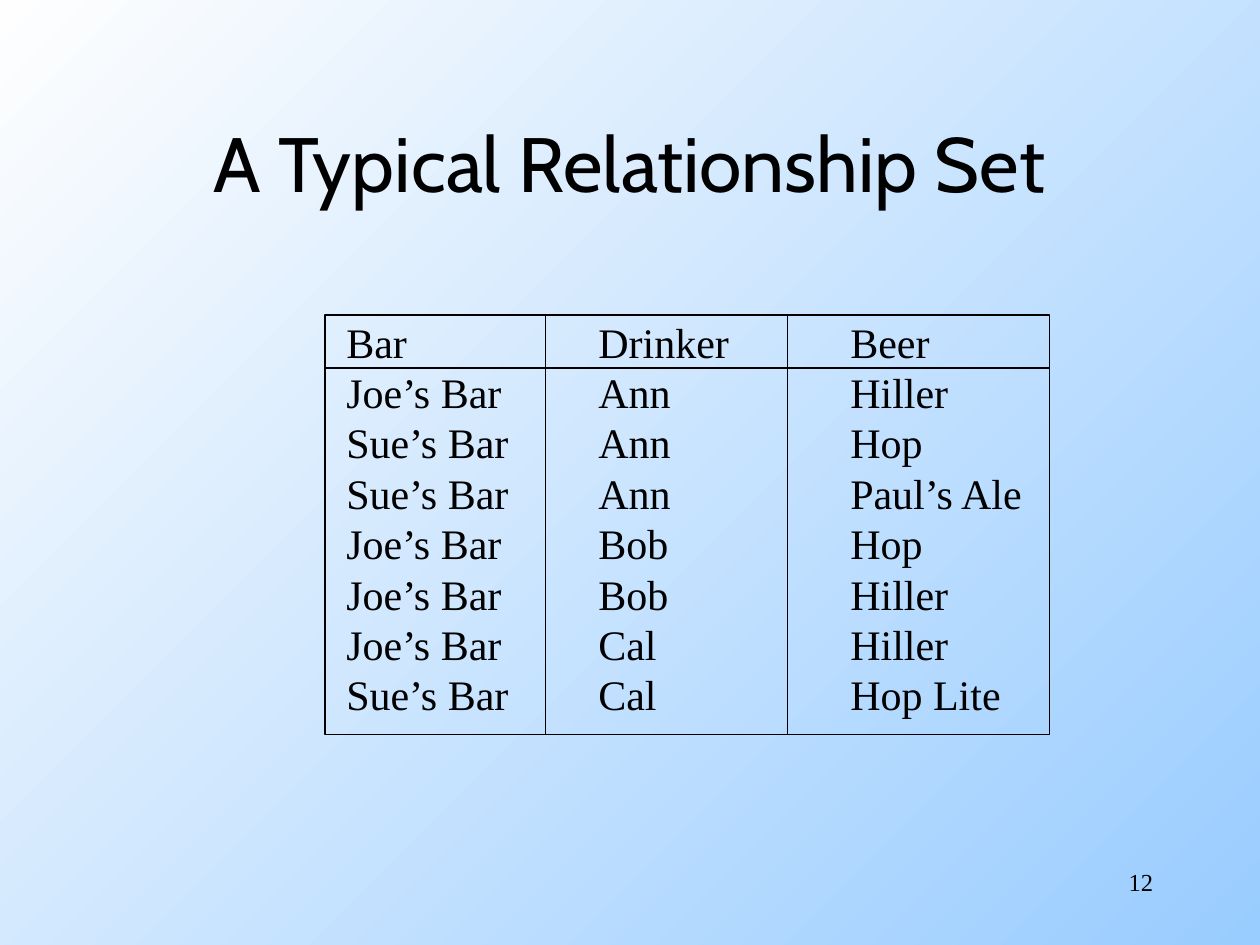
from pptx import Presentation
from pptx.dml.color import RGBColor
from pptx.enum import shapes, text
from pptx.oxml.ns import qn
from pptx.util import Inches, Pt
from lxml import etree

BLACK = RGBColor(0x00, 0x00, 0x00)
SKY = RGBColor(0x99, 0xCC, 0xFF)
PALE = RGBColor(0xFE, 0xFE, 0xFE)
SERIF = "Times New Roman"

ROWS = [
    ("Bar", "Drinker", "Beer"),
    ("Joe’s Bar", "Ann", "Hiller"),
    ("Sue’s Bar", "Ann", "Hop"),
    ("Sue’s Bar", "Ann", "Paul’s Ale"),
    ("Joe’s Bar", "Bob", "Hop"),
    ("Joe’s Bar", "Bob", "Hiller"),
    ("Joe’s Bar", "Cal", "Hiller"),
    ("Sue’s Bar", "Cal", "Hop Lite"),
]
TABS = (2, 4)


def style(para, size, face, align):
    """Set the font and alignment of a paragraph."""
    para.alignment = align
    para.font.size = Pt(size)
    para.font.name = face
    para.font.color.rgb = BLACK


def paint(slide):
    """Fill the background with a diagonal gradient."""
    fill = slide.background.fill
    fill.gradient()
    fill.gradient_angle = 135
    for stop, color in zip(fill.gradient_stops, (SKY, PALE)):
        stop.color.rgb = color


def label(slide, box, words, size, face, align, anchor, wrap=True):
    """Place lines of text in the box and return their paragraphs."""
    frame = slide.shapes.add_textbox(*map(Inches, box)).text_frame
    frame.word_wrap = wrap
    frame.vertical_anchor = anchor
    frame.text = words
    for para in frame.paragraphs:
        style(para, size, face, align)
    return frame.paragraphs


def align_tabs(para):
    """Give a paragraph the tab stops of the columns."""
    stops = etree.Element(qn("a:tabLst"))
    for tab in TABS:
        etree.SubElement(stops, qn("a:tab"), pos=str(Inches(tab)), algn="l")
    para._p.get_or_add_pPr().insert(0, stops)


def rule(slide, x1, y1, x2, y2):
    """Draw a thin black line between two points."""
    line = slide.shapes.add_connector(
        shapes.MSO_CONNECTOR.STRAIGHT, *map(Inches, (x1, y1, x2, y2)))
    line.line.color.rgb = BLACK
    line.line.width = Pt(0.75)
    etree.SubElement(line._element.spPr, qn("a:effectLst"))


def grid(slide, box):
    """Set the rows of bars, drinkers and beers in a ruled frame."""
    left, top, width, height = box
    words = "\n".join("\t".join(row) for row in ROWS)
    area = (left + 0.07, top - 0.04, 5.58, 3.3)
    for para in label(slide, area, words, 24, SERIF, text.PP_ALIGN.LEFT,
                      text.MSO_ANCHOR.TOP, wrap=False):
        align_tabs(para)
    frame = slide.shapes.add_shape(
        shapes.MSO_SHAPE.RECTANGLE, *map(Inches, box))
    frame.shadow.inherit = False
    frame.fill.background()
    frame.line.color.rgb = BLACK
    frame.line.width = Pt(0.75)
    rule(slide, left, top + 0.42, left + width, top + 0.42)
    for gap in (1.75, 3.67):
        rule(slide, left + gap, top, left + gap, top + height)


def main():
    """Build the slide and save it."""
    deck = Presentation()
    deck.slide_width, deck.slide_height = Inches(10), Inches(7.5)
    slide = deck.slides.add_slide(deck.slide_layouts[6])
    paint(slide)
    label(slide, (0.75, 0.66, 8.5, 1.25), "A Typical Relationship Set", 44,
          "Cabin", text.PP_ALIGN.CENTER, text.MSO_ANCHOR.MIDDLE)
    grid(slide, (2.58, 2.5, 5.75, 3.33))
    label(slide, (7.17, 6.83, 2.08, 0.5), "12", 14,
          SERIF, text.PP_ALIGN.RIGHT, text.MSO_ANCHOR.TOP)
    deck.save("out.pptx")


if __name__ == "__main__":
    main()
